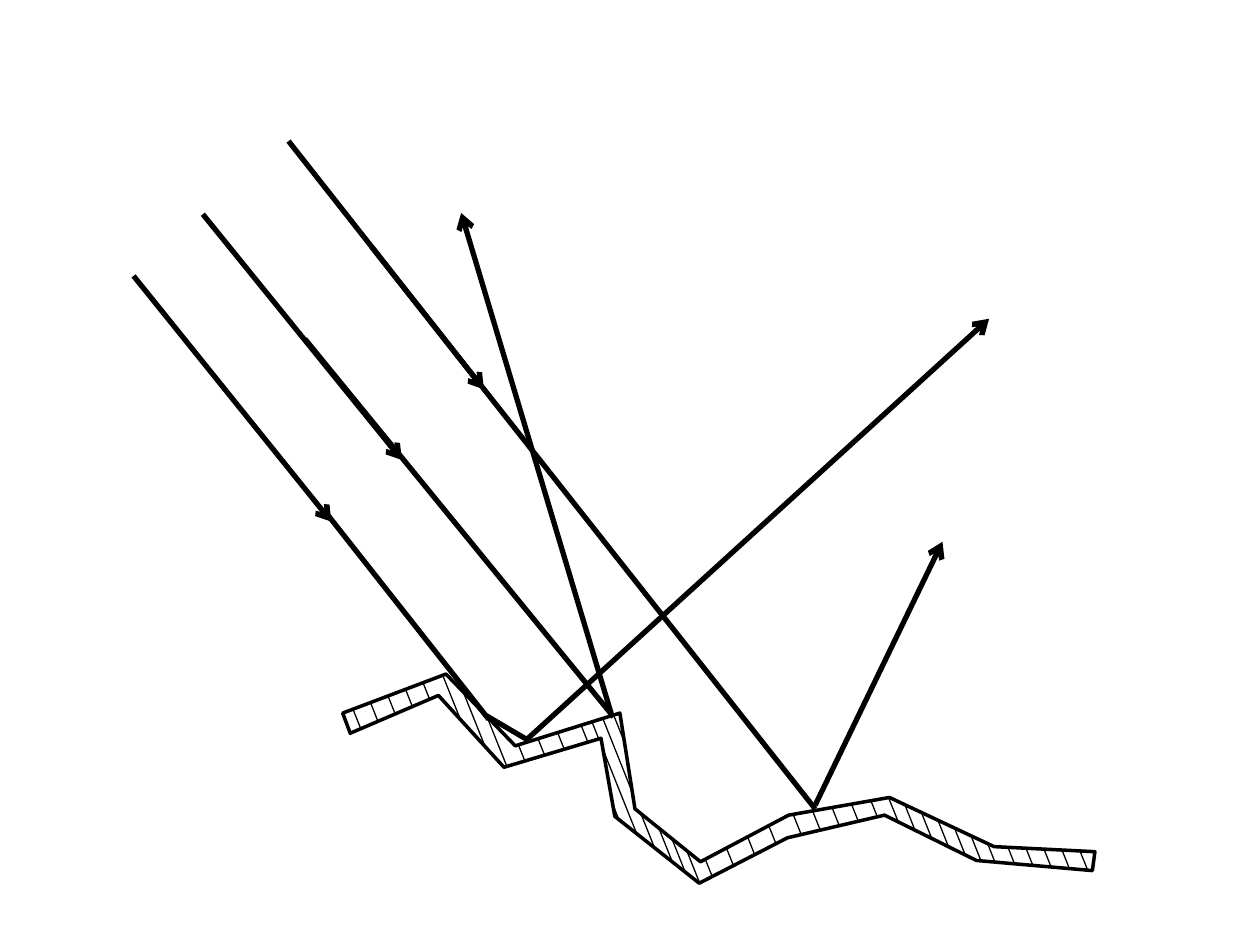
from lxml.etree import SubElement
from pptx import Presentation
from pptx.dml.color import RGBColor
from pptx.enum.shapes import MSO_CONNECTOR
from pptx.oxml.ns import qn
from pptx.util import Inches, Pt

INK, PAPER = "000000", "FFFFFF"
SURFACE_WIDTH, HATCH_WIDTH, RAY_WIDTH = 2, 0.75, 3

# Rough surface: upper edge left to right, then lower edge back again
UPPER_EDGE = [
    (2.72, 5.66), (3.54, 5.35), (4.09, 5.92), (4.92, 5.66), (5.04, 6.42),
    (5.56, 6.84), (6.26, 6.47), (7.06, 6.33), (7.89, 6.72), (8.69, 6.76),
]
LOWER_EDGE = [
    (8.67, 6.91), (7.75, 6.83), (7.02, 6.47), (6.25, 6.65), (5.55, 7.01),
    (4.88, 6.48), (4.77, 5.86), (4.00, 6.09), (3.48, 5.52), (2.78, 5.82),
]
SURFACE = UPPER_EDGE + LOWER_EDGE

# Hatching follows parallel lines x = offset + HATCH_LEAN * y.
# Each stretch of the surface has evenly spaced offsets: first, last, count
HATCH_LEAN = 0.4
HATCH_STRETCHES = [
    (0.55, 1.19, 5),  # left rise
    (1.37, 1.59, 3),  # first drop
    (1.75, 2.10, 3),  # ledge
    (2.31, 2.60, 4),  # ledge end, cliff and the slope below it
    (2.67, 2.75, 2),  # slope down to the valley
    (2.87, 3.48, 4),  # climb out of the valley
    (3.71, 4.37, 5),  # top of the hill
    (4.52, 5.16, 7),  # last drop
    (5.31, 5.87, 5),  # flat end
]

# Rays: from x, from y, to x, to y
INCOMING = [
    (2.29, 1.12, 3.84, 3.09), (1.61, 1.70, 3.19, 3.65), (1.06, 2.19, 2.63, 4.14),
]
CONTINUED = [
    (2.95, 1.96, 6.47, 6.42), (2.42, 2.69, 4.87, 5.69),
    (2.58, 4.06, 3.88, 5.71), (3.86, 5.68, 4.20, 5.88),
]
REFLECTED = [
    (6.47, 6.39, 7.48, 4.30), (4.18, 5.87, 7.85, 2.53), (4.85, 5.66, 3.66, 1.69),
]


def color(hex_code):
    return RGBColor.from_string(hex_code)


def hatch_offsets():
    for first, last, count in HATCH_STRETCHES:
        step = (last - first) / (count - 1)
        for index in range(count):
            yield first + index * step


def hatches_inside(outline, offset):
    """Return the pieces of one hatch line that lie inside the outline."""
    crossings = []
    for (x1, y1), (x2, y2) in zip(outline, outline[1:] + outline[:1]):
        side1 = x1 - HATCH_LEAN * y1 - offset
        side2 = x2 - HATCH_LEAN * y2 - offset
        if (side1 < 0) != (side2 < 0):
            share = side1 / (side1 - side2)
            crossings.append(y1 + share * (y2 - y1))
    crossings.sort()
    # The line enters and leaves the outline by turns
    return [
        (offset + HATCH_LEAN * bottom, bottom, offset + HATCH_LEAN * top, top)
        for top, bottom in zip(crossings[::2], crossings[1::2])
    ]


def add_line(shapes, ends, width, arrow=False):
    line = shapes.add_connector(MSO_CONNECTOR.STRAIGHT, *map(Inches, ends))
    line.line.color.rgb = color(INK)
    line.line.width = Pt(width)
    properties = line._element.spPr
    if arrow:
        SubElement(properties.find(qn("a:ln")), qn("a:tailEnd"), type="arrow")
    SubElement(properties, qn("a:effectLst"))


def add_surface(shapes):
    corners = [(Inches(x), Inches(y)) for x, y in SURFACE]
    builder = shapes.build_freeform(*corners[0])
    builder.add_line_segments(corners[1:], close=True)
    surface = builder.convert_to_shape()
    surface.shadow.inherit = False
    surface.fill.solid()
    surface.fill.fore_color.rgb = color(PAPER)
    surface.line.color.rgb = color(INK)
    surface.line.width = Pt(SURFACE_WIDTH)


def main():
    deck = Presentation()
    deck.slide_width, deck.slide_height = Inches(10), Inches(7.5)
    slide = deck.slides.add_slide(deck.slide_layouts[6])
    slide.background.fill.solid()
    slide.background.fill.fore_color.rgb = color(PAPER)

    ground = slide.shapes.add_group_shape().shapes
    add_surface(ground)
    for offset in hatch_offsets():
        for hatch in hatches_inside(SURFACE, offset):
            add_line(ground, hatch, HATCH_WIDTH)

    for rays, arrow in ((INCOMING, True), (CONTINUED, False), (REFLECTED, True)):
        for ray in rays:
            add_line(slide.shapes, ray, RAY_WIDTH, arrow)

    deck.save("out.pptx")


if __name__ == "__main__":
    main()
